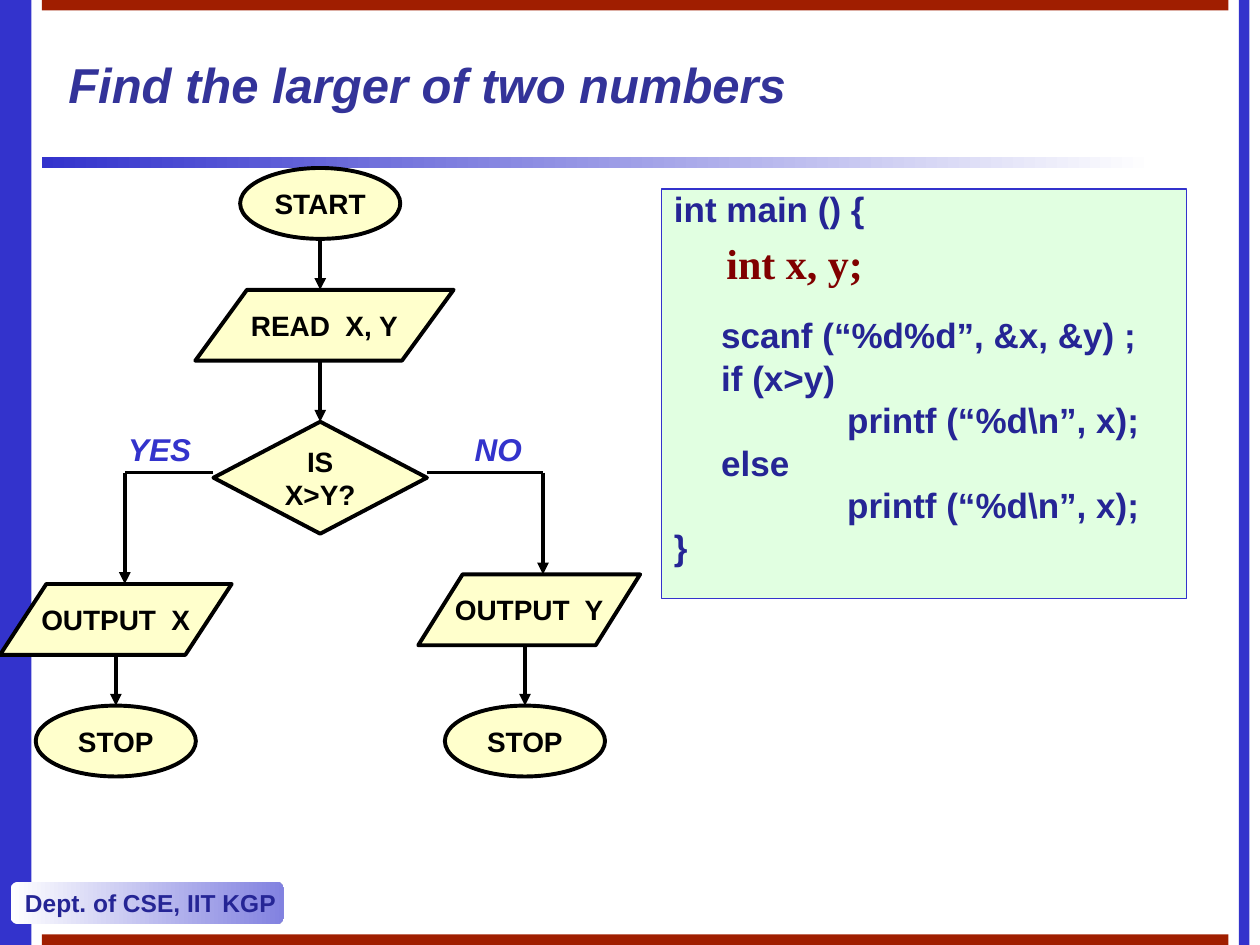
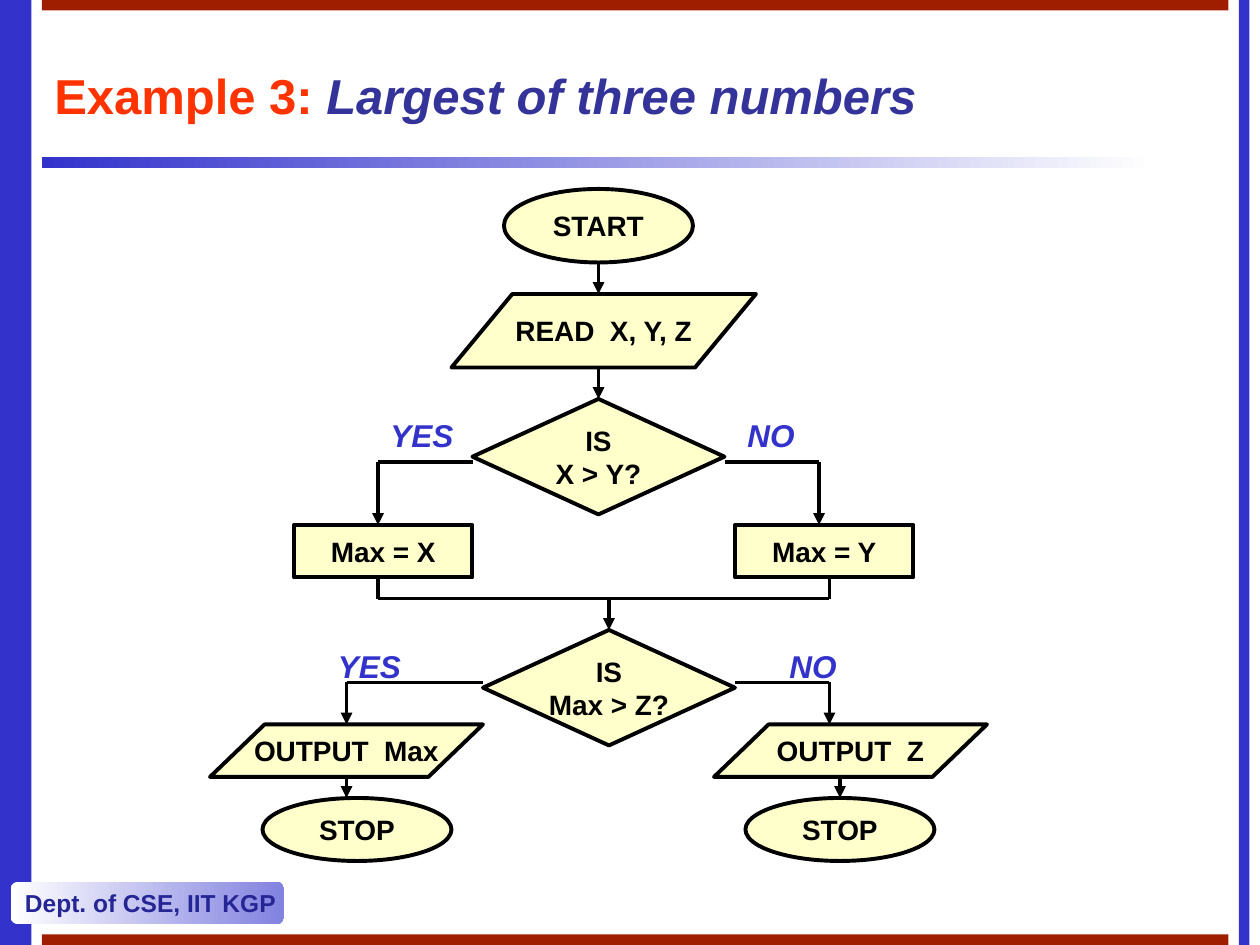
from dataclasses import dataclass
from itertools import pairwise

from lxml.etree import SubElement
from pptx import Presentation
from pptx.dml.color import RGBColor
from pptx.enum.shapes import MSO_CONNECTOR, MSO_SHAPE
from pptx.enum.text import MSO_ANCHOR, PP_ALIGN
from pptx.oxml.ns import qn
from pptx.util import Pt

FOOTER = "Dept. of CSE, IIT KGP"

LARGER_OF_TWO = {
    "title": {"box": (32, 12, 604, 72), "runs": [("title", "Find the larger of two numbers")]},
    "steps": {
        "start": ("terminal", "START", 183, 96, 91.5, 40.5),
        "read": ("data", "READ  X, Y", 185.4, 165.6, 147.6, 40.5),
        "compare": ("decision", "IS\nX>Y?", 183, 241, 122, 64),
        "output x": ("data", "OUTPUT  X", 66.2, 333.7, 132.4, 40.5),
        "output y": ("data", "OUTPUT  Y", 302.4, 328.2, 126.8, 40.5),
        "stop x": ("terminal", "STOP", 66.2, 403.2, 91.5, 40.5),
        "stop y": ("terminal", "STOP", 300, 403.2, 91.5, 40.5),
    },
    "drops": [("start", "read", 183), ("read", "compare", 183),
              ("output x", "stop x", 66.2), ("output y", "stop y", 300)],
    "branches": [("compare", 270, ("output x", 71.3), ("output y", 310.3))],
    "merges": [],
    "answers": [("YES", 66.2, 242), ("NO", 264.2, 242)],
}

LARGEST_OF_THREE = {
    "title": {"box": (24, 24, 612, 60),
              "runs": [("example", "Example 3: "), ("title", "Largest of three numbers")]},
    "steps": {
        "start": ("terminal", "START", 342, 108, 108, 42),
        "read": ("data", "READ  X, Y, Z", 345, 168, 174, 42),
        "compare xy": ("decision", "IS\nX > Y?", 342, 228, 144, 66),
        "max x": ("process", "Max = X", 219, 300, 102, 30),
        "max y": ("process", "Max = Y", 471, 300, 102, 30),
        "compare z": ("decision", "IS\nMax > Z?", 348, 360, 144, 66),
        "output max": ("data", "OUTPUT  Max", 198, 414, 156, 30),
        "output z": ("data", "OUTPUT  Z", 486, 414, 156, 30),
        "stop max": ("terminal", "STOP", 204, 456, 108, 36),
        "stop z": ("terminal", "STOP", 480, 456, 108, 36),
    },
    "drops": [("start", "read", 342), ("read", "compare xy", 342),
              ("output max", "stop max", 198), ("output z", "stop z", 480)],
    "branches": [("compare xy", 264, ("max x", 216), ("max y", 468)),
                 ("compare z", 390, ("output max", 198), ("output z", 474))],
    "merges": [(("max x", 216), ("max y", 474), 342, "compare z")],
    "answers": [("YES", 216, 234), ("NO", 420, 234), ("YES", 186, 366), ("NO", 444, 366)],
}

PROGRAM_BOX = (378, 108, 300, 234)
PROGRAM = [
    (0, 0, "int main () {"),
    (27, 53.3, "scanf (“%d%d”, &x, &y) ;"),
    (27, 5, "if (x>y)"),
    (99, 5, "printf (“%d\\n”, x);"),
    (27, 5, "else"),
    (99, 5, "printf (“%d\\n”, x);"),
    (0, 5, "}"),
]
DECLARATION = ("int x, y;", (408, 132, 120, 36))


@dataclass(frozen=True)
class Theme:
    blue: str = "3333CC"
    pale_blue: str = "8282E0"
    white: str = "FFFFFF"
    brick: str = "A01E00"
    cream: str = "FFFFCC"
    mint: str = "E1FFE1"
    ink: str = "000000"
    stroke: float = 2.25


THEME = Theme()
FONTS = {
    "example": ("FF3300", {"name": "Arial", "size": Pt(28), "bold": True}),
    "title": ("333399", {"name": "Arial", "size": Pt(28), "bold": True, "italic": True}),
    "footer": ("252595", {"name": "Arial", "size": Pt(14), "bold": True}),
    "step": (THEME.ink, {"name": "Arial", "size": Pt(16), "bold": True}),
    "answer": (THEME.blue, {"name": "Arial", "size": Pt(18), "bold": True, "italic": True}),
    "program": ("252595", {"name": "Arial", "size": Pt(20), "bold": True}),
    "declaration": ("800000", {"name": "Times New Roman", "size": Pt(24), "bold": True}),
}
OUTLINES = {
    "terminal": MSO_SHAPE.OVAL,
    "data": MSO_SHAPE.FLOWCHART_DATA,
    "decision": MSO_SHAPE.FLOWCHART_DECISION,
    "process": MSO_SHAPE.RECTANGLE,
}


def assign(target, values):
    for attribute, value in values.items():
        setattr(target, attribute, value)


def points(lengths):
    return [Pt(length) for length in lengths]


def write(paragraph, role, text):
    run = paragraph.add_run()
    run.text = text
    color, values = FONTS[role]
    assign(run.font, values)
    run.font.color.rgb = RGBColor.from_string(color)


def frame(shape, anchor=MSO_ANCHOR.TOP, wrap=False):
    assign(shape.text_frame, {
        "word_wrap": wrap, "vertical_anchor": anchor,
        "margin_left": Pt(7.2), "margin_right": Pt(7.2),
        "margin_top": Pt(3.6), "margin_bottom": Pt(3.6),
    })
    return shape.text_frame


def panel(slide, outline, box, fill, line=None, width=0.75):
    shape = slide.shapes.add_shape(outline, *points(box))
    shape.shadow.inherit = False
    if isinstance(fill, tuple):
        shape.fill.gradient()
        shape.fill.gradient_angle = 0
        for stop, color in zip(shape.fill.gradient_stops, fill):
            stop.color.rgb = RGBColor.from_string(color)
    else:
        shape.fill.solid()
        shape.fill.fore_color.rgb = RGBColor.from_string(fill)
    if line:
        shape.line.color.rgb = RGBColor.from_string(line)
        shape.line.width = Pt(width)
    else:
        shape.line.fill.background()
    return shape


def caption(slide, box, runs, anchor=MSO_ANCHOR.TOP):
    area = frame(slide.shapes.add_textbox(*points(box)), anchor, wrap=True)
    for role, text in runs:
        write(area.paragraphs[0], role, text)


def backdrop(slide):
    bands = [
        ((0, 0, 18, 540), THEME.blue),
        ((708, 0, 6, 540), THEME.blue),
        ((24, 0, 678, 6), THEME.brick),
        ((24, 534, 678, 6), THEME.brick),
        ((24, 90, 636, 6), (THEME.blue, THEME.white)),
    ]
    for box, fill in bands:
        panel(slide, MSO_SHAPE.RECTANGLE, box, fill)
    badge = panel(slide, MSO_SHAPE.ROUNDED_RECTANGLE, (6, 504, 156, 24),
                  (THEME.white, THEME.pale_blue))
    label = frame(badge, MSO_ANCHOR.MIDDLE).paragraphs[0]
    label.alignment = PP_ALIGN.LEFT
    write(label, "footer", FOOTER)


def draw_step(slide, kind, text, center, top, width, height):
    box = (center - width / 2, top, width, height)
    shape = panel(slide, OUTLINES[kind], box, THEME.cream, THEME.ink, THEME.stroke)
    area = frame(shape, MSO_ANCHOR.MIDDLE)
    for index, line in enumerate(text.split("\n")):
        paragraph = area.add_paragraph() if index else area.paragraphs[0]
        paragraph.alignment = PP_ALIGN.CENTER
        write(paragraph, "step", line)


def draw_route(slide, corners, arrow=True):
    for start, end in pairwise(corners):
        connector = slide.shapes.add_connector(MSO_CONNECTOR.STRAIGHT, *points(start + end))
        connector.line.color.rgb = RGBColor.from_string(THEME.ink)
        connector.line.width = Pt(THEME.stroke)
        if arrow and end == corners[-1]:
            SubElement(connector.line._get_or_add_ln(), qn("a:tailEnd"), type="triangle")
        SubElement(connector._element.spPr, qn("a:effectLst"))


def draw_flowchart(slide, chart):
    steps = chart["steps"]
    top = {key: step[3] for key, step in steps.items()}
    bottom = {key: step[3] + step[5] for key, step in steps.items()}
    for step in steps.values():
        draw_step(slide, *step)
    for source, target, x in chart["drops"]:
        draw_route(slide, [(x, bottom[source]), (x, top[target])])
    for decision, y, *arms in chart["branches"]:
        center, width = steps[decision][2], steps[decision][4]
        for side, (target, x) in zip((-1, 1), arms):
            draw_route(slide, [(center + side * width / 2, y), (x, y), (x, top[target])])
    for (left, left_x), (right, right_x), y, target in chart["merges"]:
        draw_route(slide, [(left_x, bottom[left]), (left_x, y),
                           (right_x, y), (right_x, bottom[right])], arrow=False)
        center = steps[target][2]
        draw_route(slide, [(center, y), (center, top[target])])
    for answer, x, y in chart["answers"]:
        caption(slide, (x, y, 78, 28.8), [("answer", answer)])


def draw_program(slide):
    area = frame(panel(slide, MSO_SHAPE.RECTANGLE, PROGRAM_BOX, THEME.mint, THEME.blue), wrap=True)
    for index, (indent, gap, line) in enumerate(PROGRAM):
        paragraph = area.add_paragraph() if index else area.paragraphs[0]
        assign(paragraph, {"alignment": PP_ALIGN.LEFT, "line_spacing": 0.8,
                           "space_before": Pt(gap)})
        paragraph._p.get_or_add_pPr().set("marL", str(Pt(indent)))
        write(paragraph, "program", line)
    text, box = DECLARATION
    caption(slide, box, [("declaration", text)])


def main():
    deck = Presentation()
    assign(deck, {"slide_width": Pt(720), "slide_height": Pt(540)})
    for chart in (LARGER_OF_TWO, LARGEST_OF_THREE):
        slide = deck.slides.add_slide(deck.slide_layouts[6])
        backdrop(slide)
        caption(slide, chart["title"]["box"], chart["title"]["runs"], MSO_ANCHOR.MIDDLE)
        draw_flowchart(slide, chart)
        if chart is LARGER_OF_TWO:
            draw_program(slide)
    deck.save("out.pptx")


if __name__ == "__main__":
    main()
